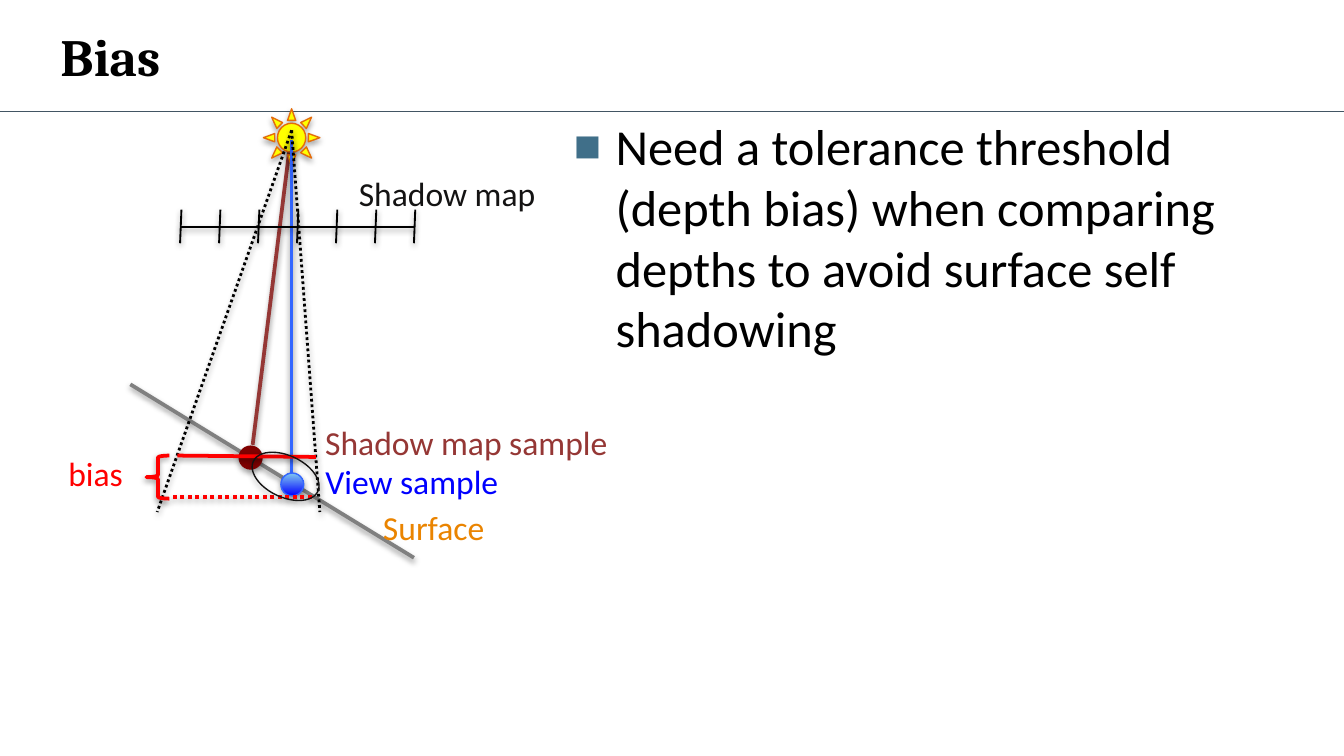
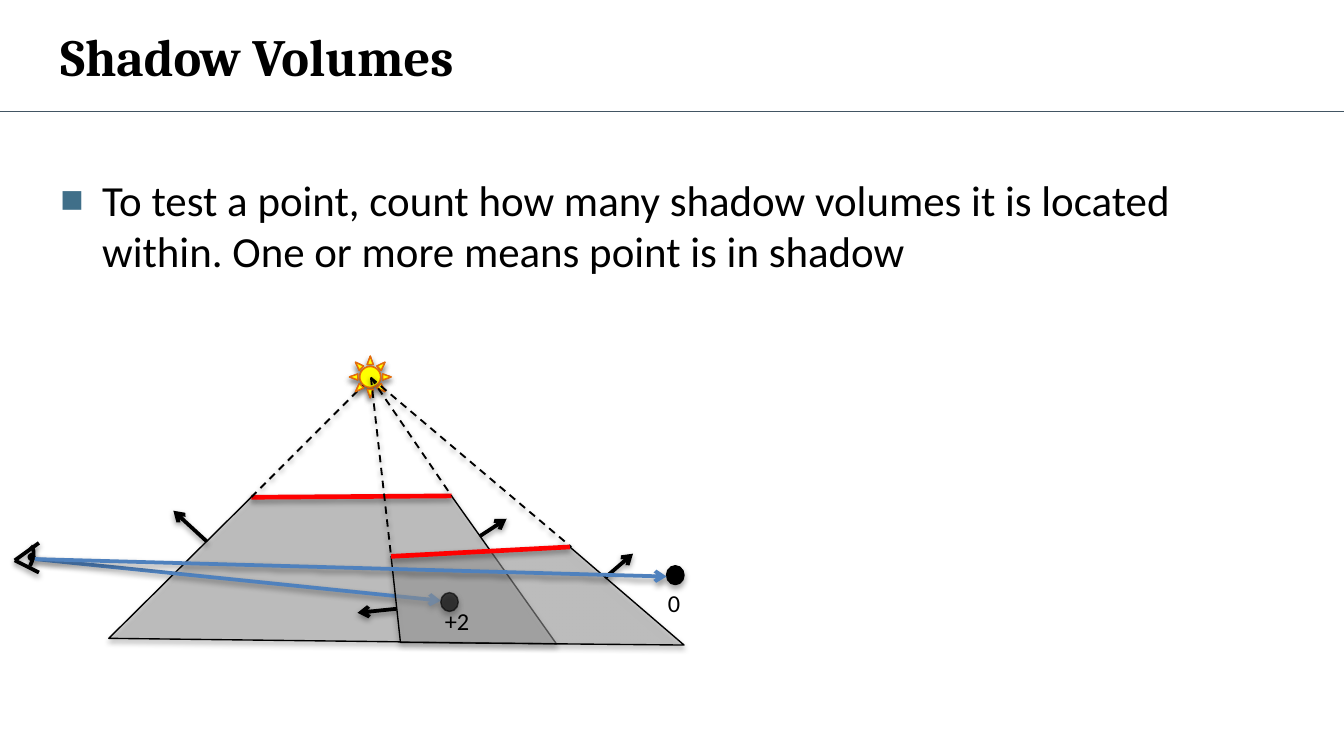
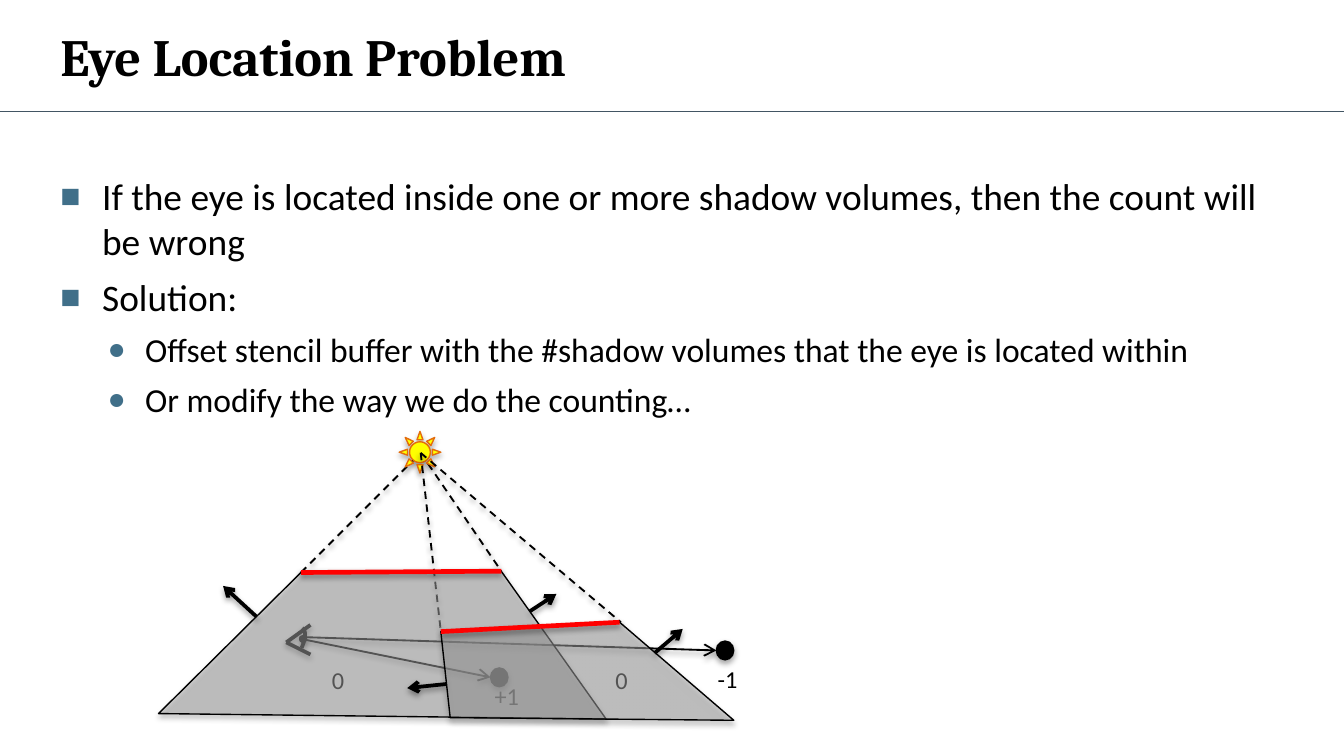
"""Build three slides about shadow map bias and shadow volumes."""
from lxml import etree
from pptx import Presentation
from pptx.dml.color import RGBColor
from pptx.enum.dml import MSO_LINE
from pptx.enum.shapes import MSO_CONNECTOR, MSO_SHAPE
from pptx.enum.text import MSO_ANCHOR, MSO_AUTO_SIZE, PP_ALIGN
from pptx.oxml.ns import qn
from pptx.util import Inches, Pt

COLORS = {
    "black": "000000", "ink": "141313", "rule": "425563", "bullet": "406F89",
    "brown": "953735", "maroon": "800000", "gray": "808080", "volume": "A6A6A6",
    "red": "FF0000", "orange": "EA8400", "sun": "FFFF00", "sun edge": "E46C0A",
    "blue": "0000FF", "ray blue": "3366FF", "pale blue": "81C9F0", "sight": "4F81BD",
}
NAMES = {"a": "http://schemas.openxmlformats.org/drawingml/2006/main"}


def write(para, text, size=18, color="black", font="Calibri", bold=False,
          bullet=None, level=0, margin=0.31, hanging=0.31, before=0):
    para.alignment = PP_ALIGN.LEFT
    para.level = level
    para.space_before = Pt(before)
    if bullet:
        props = para._p.get_or_add_pPr()
        props.set("marL", str(Inches(margin)))
        props.set("indent", str(-Inches(hanging)))
        tint = etree.SubElement(props, qn("a:buClr"))
        etree.SubElement(tint, qn("a:srgbClr"), val=COLORS["bullet"])
        etree.SubElement(props, qn("a:buSzPct"), val="90000")
        etree.SubElement(props, qn("a:buFont"), typeface="Arial")
        etree.SubElement(props, qn("a:buChar"), char=bullet)
    span = para.add_run()
    span.text = text
    span.font.size = Pt(size)
    span.font.name = font
    span.font.bold = bold
    span.font.color.rgb = RGBColor.from_string(COLORS[color])


def draw(page, kind, place, shift=(0, 0), text="", inset=0.09, fill=None, line="black",
         width=0.75, dash=None, arrow=False, alpha=None, line_alpha=None,
         rotation=0, shadow=True, **style):
    shifted = [Inches(value + shift[i % 2] * (kind in ("line", "outline") or i < 2))
               for i, value in enumerate(place)]
    if kind == "label":
        box = page.shapes.add_textbox(*shifted)
        frame = box.text_frame
        frame.word_wrap = True
        frame.margin_left = frame.margin_right = Inches(inset)
        frame.margin_top = frame.margin_bottom = Inches(0.04)
        write(frame.paragraphs[0], text, **style)
        return box
    if kind == "line":
        shape = page.shapes.add_connector(MSO_CONNECTOR.STRAIGHT, *shifted)
    elif kind == "outline":
        corners = list(zip(shifted[::2], shifted[1::2]))
        builder = page.shapes.build_freeform(*corners[0])
        builder.add_line_segments(corners[1:], close=True)
        shape = builder.convert_to_shape()
    else:
        shape = page.shapes.add_shape(kind, *shifted)
        shape.rotation = rotation
    if isinstance(fill, tuple):
        shape.fill.gradient()
        shape.fill.gradient_angle = 90
        for stop, name in zip(shape.fill.gradient_stops, fill):
            stop.color.rgb = RGBColor.from_string(COLORS[name])
    elif fill:
        shape.fill.solid()
        shape.fill.fore_color.rgb = RGBColor.from_string(COLORS[fill])
    elif kind != "line":
        shape.fill.background()
    shape.line.color.rgb = RGBColor.from_string(COLORS[line])
    shape.line.width = Pt(width)
    if dash:
        shape.line.dash_style = dash
    props = shape.element.find(qn("p:spPr"))
    if arrow:
        etree.SubElement(props.find(qn("a:ln")), qn("a:tailEnd"), type="arrow")
    for branch, percent in (("", alpha), ("a:ln/", line_alpha)):
        if percent:
            tint = props.find(branch + "a:solidFill/a:srgbClr", NAMES)
            etree.SubElement(tint, qn("a:alpha"), val=str(percent * 1000))
    if kind != "line":
        shape.shadow.inherit = False
        effects = props.find(qn("a:effectLst"))
    else:
        effects = etree.SubElement(props, qn("a:effectLst"))
    if shadow:
        distance, strength = (1.8, 35) if fill else (1.6, 38)
        cast = etree.SubElement(effects, qn("a:outerShdw"), blurRad=str(Pt(3.1)),
                                dist=str(Pt(distance)), dir="5400000", rotWithShape="0")
        tint = etree.SubElement(cast, qn("a:srgbClr"), val=COLORS["black"])
        etree.SubElement(tint, qn("a:alpha"), val=str(strength * 1000))
    return shape


deck = Presentation()
deck.slide_width = Inches(10)
deck.slide_height = deck.slide_width * 9 // 16
layout = deck.slide_layouts[1]

square = {"bullet": "■", "before": 6}
dot = {"bullet": "●", "before": 5.2, "level": 1, "margin": 0.63, "hanging": 0.28, "size": 18}
wide = (0.35, 1.24, 9.29, 4.02)
contents = [
    ("Bias", (4.17, 0.81, 5.52, 2.33), [
        ("Need a tolerance threshold (depth bias) when comparing depths to avoid "
         "surface self shadowing", {**square, "size": 27})]),
    ("Shadow Volumes", wide, [
        ("To test a point, count how many shadow volumes it is located within. "
         "One or more means point is in shadow", {**square, "size": 23})]),
    ("Eye Location Problem", wide, [
        ("If the eye is located inside one or more shadow volumes, then the count "
         "will be wrong", {**square, "size": 20}),
        ("Solution:", {**square, "size": 20}),
        ("Offset stencil buffer with the #shadow volumes that the eye is located within", dot),
        ("Or modify the way we do the counting…", dot)]),
]
pages = []
for heading, place, items in contents:
    page = deck.slides.add_slide(layout)
    pages.append(page)
    title, body = page.placeholders
    for box, area in ((title, (0.35, 0, 9.29, 0.83)), (body, place)):
        box.left, box.top, box.width, box.height = map(Inches, area)
        box.text_frame.auto_size = MSO_AUTO_SIZE.NONE
    title.text_frame.vertical_anchor = MSO_ANCHOR.MIDDLE
    write(title.text_frame.paragraphs[0], heading, size=28, font="Cambria", bold=True)
    for i, (text, style) in enumerate(items):
        para = body.text_frame.add_paragraph() if i else body.text_frame.paragraphs[0]
        write(para, text, **{**style, "before": style["before"] if i else 0})

rule = draw(pages[0], "line", (0, 0.83, 10, 0.83), line="rule", width=1, shadow=False)
deck.slide_master.shapes.element.append(rule.element)

sun_style = {"fill": "sun", "line": "sun edge"}
dotted = {"width": 1.5, "dash": MSO_LINE.ROUND_DOT}
ticks = [("line", (1.35 + 0.29 * i, 1.56, 1.34 + 0.29 * i, 1.81), {"width": 1})
         for i in range(7)]
bias_scene = [
    ("line", (2.17, 0.98, 1.88, 3.31), {"line": "brown", "width": 2}),
    ("line", (0.97, 2.86, 3.08, 4.15), {"line": "gray", "width": 2}),
    (MSO_SHAPE.OVAL, (1.78, 3.32, 0.17, 0.17), {"fill": "maroon", "line": "maroon"}),
    ("label", (2.33, 3.1, 2.63, 0.36), {"text": "Shadow map sample", "color": "brown"}),
    (MSO_SHAPE.SUN, (1.96, 0.81, 0.42, 0.43), sun_style),
    ("line", (2.17, 1.04, 2.17, 3.52), {"line": "ray blue", "width": 2}),
    ("line", (1.34, 1.69, 3.09, 1.69), {"width": 1}),
    *ticks,
    ("label", (2.58, 1.25, 1.64, 0.39), {"text": "Shadow map", "color": "ink"}),
    ("line", (2.17, 0.97, 1.17, 3.81), dotted),
    ("line", (2.17, 0.97, 2.38, 3.81), dotted),
    ("line", (2.35, 3.4, 1.32, 3.39), {"line": "red", "width": 2}),
    ("label", (2.76, 3.73, 1.14, 0.36), {"text": "Surface", "color": "orange"}),
    (MSO_SHAPE.OVAL, (2.09, 3.52, 0.17, 0.17),
     {"fill": ("blue", "pale blue"), "line": "ray blue"}),
    ("label", (2.33, 3.39, 2.09, 0.36), {"text": "View sample", "color": "blue"}),
    (MSO_SHAPE.LEFT_BRACE, (1.09, 3.39, 0.17, 0.32), {"line": "red", "width": 2}),
    ("label", (0.41, 3.33, 0.74, 0.4), {"text": "bias", "color": "red", "inset": 0.1}),
    ("line", (2.32, 3.7, 1.29, 3.7),
     {"line": "red", "width": 2, "dash": MSO_LINE.ROUND_DOT}),
    (MSO_SHAPE.OVAL, (1.86, 3.39, 0.53, 0.31), {"line": "ink", "rotation": 25}),
]

dashed = {"width": 1, "dash": MSO_LINE.DASH}
normal = {"width": 2, "arrow": True}
sight = {"line": "sight", "width": 2, "arrow": True}
thin_sight = {"width": 1, "arrow": True}
veil = {"fill": "volume", "alpha": 50}
occluder = {"line": "red", "width": 2.5}
count = {"size": 13, "inset": 0.07}
near_place, far_place = (3.28, 4.41, 0.13, 0.14), (4.96, 4.21, 0.13, 0.14)
near_label, far_label = (3.24, 4.47, 0.36, 0.29), (4.9, 4.34, 0.36, 0.29)

sun = [(MSO_SHAPE.SUN, (2.6, 2.65, 0.31, 0.31), sun_style)]
left_ray = [("line", (1.87, 3.7, 2.76, 2.81), dashed)]
right_ray = [("line", (2.76, 2.81, 3.36, 3.69), dashed)]
front_rays = [("line", (2.76, 2.81, *end), dashed) for end in ((2.91, 4.14), (4.25, 4.07))]
back_volume = [
    ("line", (3.57, 3.99, 3.77, 3.86), normal),
    ("outline", (1.87, 3.7, 0.81, 4.75, 4.14, 4.79, 3.36, 3.69), veil),
    ("line", (1.87, 3.7, 3.36, 3.69), occluder),
    ("line", (1.54, 4.03, 1.29, 3.8), normal),
]
front_volume = [
    ("line", (2.95, 4.53, 2.66, 4.56), normal),
    ("line", (4.5, 4.3, 4.71, 4.12), normal),
    ("outline", (4.24, 4.07, 5.09, 4.8, 2.98, 4.78, 2.91, 4.14), veil),
    ("line", (4.24, 4.07, 2.91, 4.14), occluder),
]
eye = [
    (MSO_SHAPE.ARC, (0.11, 4.05, 0.12, 0.27), {"width": 2, "rotation": 26}),
    ("line", (0.11, 4.17, 0.29, 4.26), {"width": 2}),
    ("line", (0.11, 4.17, 0.29, 4.04), {"width": 2}),
    (MSO_SHAPE.OVAL, (0.21, 4.12, 0.05, 0.05), {"fill": "black", "rotation": 26}),
]
faded_point = [(MSO_SHAPE.OVAL, near_place, {"fill": "black", "alpha": 50, "line_alpha": 50})]
near_point = [(MSO_SHAPE.OVAL, near_place, {"fill": "black"})]
far_point = [(MSO_SHAPE.OVAL, far_place, {"fill": "black"})]

outside_scene = [
    *sun, *back_volume, *left_ray, *sun, *eye, *faded_point,
    ("line", (0.26, 4.16, 3.28, 4.47), sight),
    *right_ray, *far_point,
    ("label", far_label, {"text": "0", **count}),
    *front_rays, *front_volume, *faded_point,
    ("label", near_label, {"text": "+2", **count}),
    ("line", (0.26, 4.16, 4.96, 4.29), sight),
]
inside_marks = [
    *near_point, *far_point,
    ("line", (1.9, 4.2, 3.28, 4.48), thin_sight),
    ("line", (1.86, 4.18, 4.96, 4.28), thin_sight),
    ("label", near_label, {"text": "+1", **count}),
    ("label", far_label, {"text": "-1", **count}),
    ("label", (2.03, 4.35, 0.36, 0.29), {"text": "0", **count}),
    ("label", (4.14, 4.35, 0.36, 0.29), {"text": "0", **count}),
]

lowered = (0.37, 0.56)
scenes = [
    (pages[0], bias_scene, (0, 0)),
    (pages[1], outside_scene, (0, 0)),
    (pages[2], left_ray + right_ray + sun + front_rays, lowered),
    (pages[2], eye, (2.02, 0.61)),
    (pages[2], inside_marks + back_volume + front_volume, lowered),
]
for page, parts, shift in scenes:
    for kind, place, style in parts:
        draw(page, kind, place, shift, **style)

deck.save("out.pptx")
